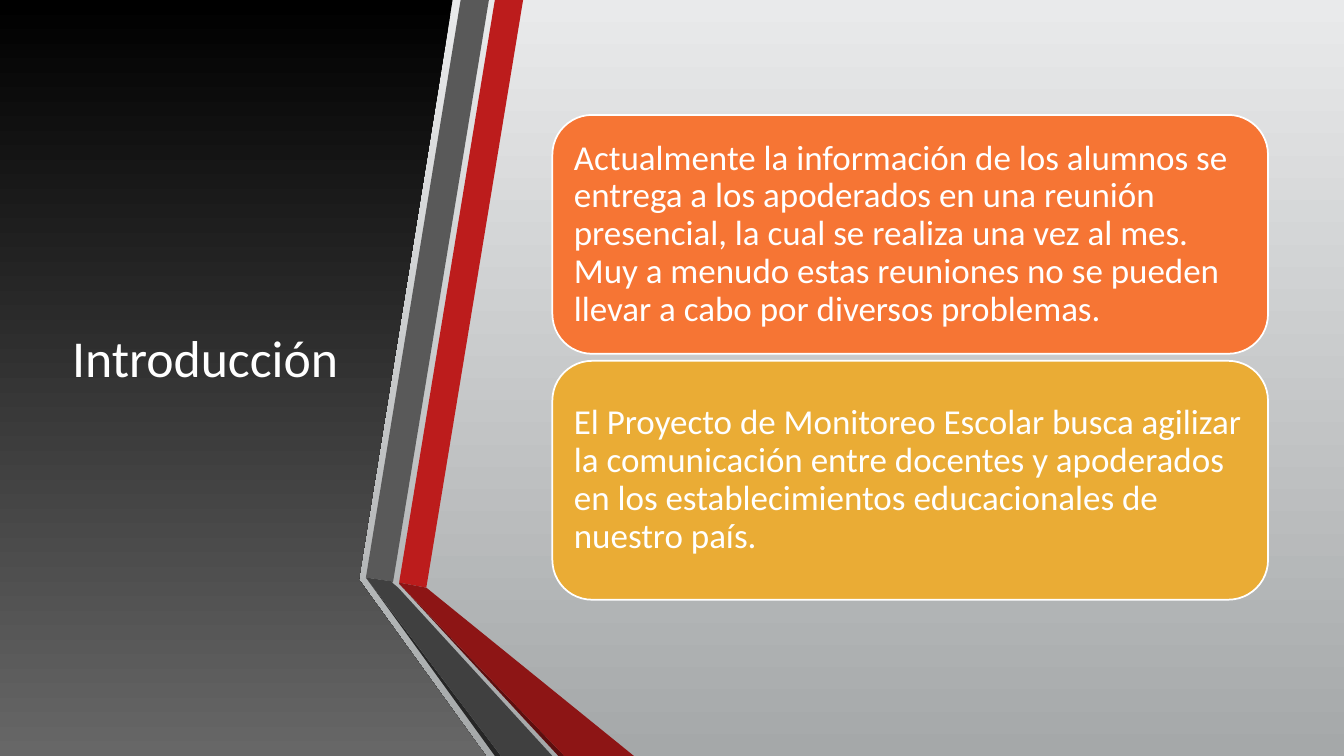
from pptx import Presentation
from pptx.dml.color import RGBColor
from pptx.enum.shapes import MSO_SHAPE
from pptx.enum.text import MSO_ANCHOR, MSO_AUTO_SIZE, PP_ALIGN
from pptx.util import Inches, Pt

COLORS = {
    "mist": "E9EAEB", "steel": "A5A8A9", "black": "000000", "ash": "676767",
    "red": "BC1C1C", "red_fold": "8D1515", "red_shadow": "5E0E0E",
    "gray": "595959", "gray_fold": "404040", "gray_shadow": "262626",
    "orange": "F67534", "amber": "EAAC35", "white": "FFFFFF",
}
RGB = {name: RGBColor.from_string(value) for name, value in COLORS.items()}


def write(shape, text, size, align=PP_ALIGN.LEFT, line_spacing=1.0):
    frame = shape.text_frame
    frame.word_wrap = True
    frame.auto_size = MSO_AUTO_SIZE.NONE
    frame.vertical_anchor = MSO_ANCHOR.MIDDLE
    frame.margin_left = frame.margin_right = Inches(0.1)
    frame.margin_top = frame.margin_bottom = Inches(0.1)
    paragraph = frame.paragraphs[0]
    paragraph.alignment = align
    paragraph.line_spacing = line_spacing
    run = paragraph.add_run()
    run.text = text
    run.font.name = "Calibri"
    run.font.size = Pt(size)
    run.font.color.rgb = RGB["white"]


def shade_down(fill, top, bottom):
    fill.gradient()
    fill.gradient_angle = 270
    for stop, color in zip(fill.gradient_stops, (top, bottom)):
        stop.color.rgb = RGB[color]


prs = Presentation()
prs.slide_width = Inches(13.333)
prs.slide_height = Inches(7.5)
slide = prs.slides.add_slide(prs.slide_layouts[5])
shade_down(slide.background.fill, "mist", "steel")

title = slide.shapes.title
title.left, title.top = Inches(0.59), Inches(0.75)
title.width, title.height = Inches(2.89), Inches(5.58)
write(title, "Introducción", size=37, align=PP_ALIGN.CENTER)

HUNDREDTH = Inches(0.01)
panel_outline = slide.shapes.build_freeform(0, 0, scale=HUNDREDTH)
panel_outline.add_line_segments([(449, 0), (356, 575), (482, 750), (0, 750)])
panel = panel_outline.convert_to_shape()
panel.shadow.inherit = False
panel.line.fill.background()
shade_down(panel.fill, "black", "ash")
title._element.addprevious(panel._element)

ribbons = [
    ("red", [(396, 578), (423, 583), (519, 0), (491, 0)]),
    ("gray", [(485, 0), (457, 0), (363, 573), (390, 577)]),
    ("gray_shadow", [(363, 573), (491, 750), (497, 750)]),
    ("red_shadow", [(396, 579), (554, 750), (560, 750)]),
    ("red_fold", [(396, 579), (560, 750), (629, 750), (423, 583), (396, 578)]),
    ("gray_fold", [(548, 750), (395, 583), (389, 578), (390, 577), (363, 573), (497, 750)]),
]
ribbon_group = slide.shapes.add_group_shape()
for color, corners in ribbons:
    outline = ribbon_group.shapes.build_freeform(*corners[0], scale=HUNDREDTH)
    outline.add_line_segments(corners[1:])
    ribbon = outline.convert_to_shape()
    ribbon.shadow.inherit = False
    ribbon.fill.solid()
    ribbon.fill.fore_color.rgb = RGB[color]
    ribbon.line.fill.background()

statements = [
    ("orange", "Actualmente la información de los alumnos se entrega a los apoderados en una "
               "reunión presencial, la cual se realiza una vez al mes. Muy a menudo estas "
               "reuniones no se pueden llevar a cabo por diversos problemas."),
    ("amber", "El Proyecto de Monitoreo Escolar busca agilizar la comunicación entre docentes "
              "y apoderados en los establecimientos educacionales de nuestro país."),
]
CARD_TOP, CARD_HEIGHT, CARD_GAP = 1.14, 2.37, 0.07
for row, (color, statement) in enumerate(statements):
    card = slide.shapes.add_shape(
        MSO_SHAPE.ROUNDED_RECTANGLE,
        Inches(5.48), Inches(CARD_TOP + row * (CARD_HEIGHT + CARD_GAP)),
        Inches(7.1), Inches(CARD_HEIGHT))
    card.shadow.inherit = False
    card.fill.solid()
    card.fill.fore_color.rgb = RGB[color]
    card.line.color.rgb = RGB["white"]
    card.line.width = Pt(1.25)
    write(card, statement, size=25, line_spacing=0.9)

prs.save("out.pptx")
